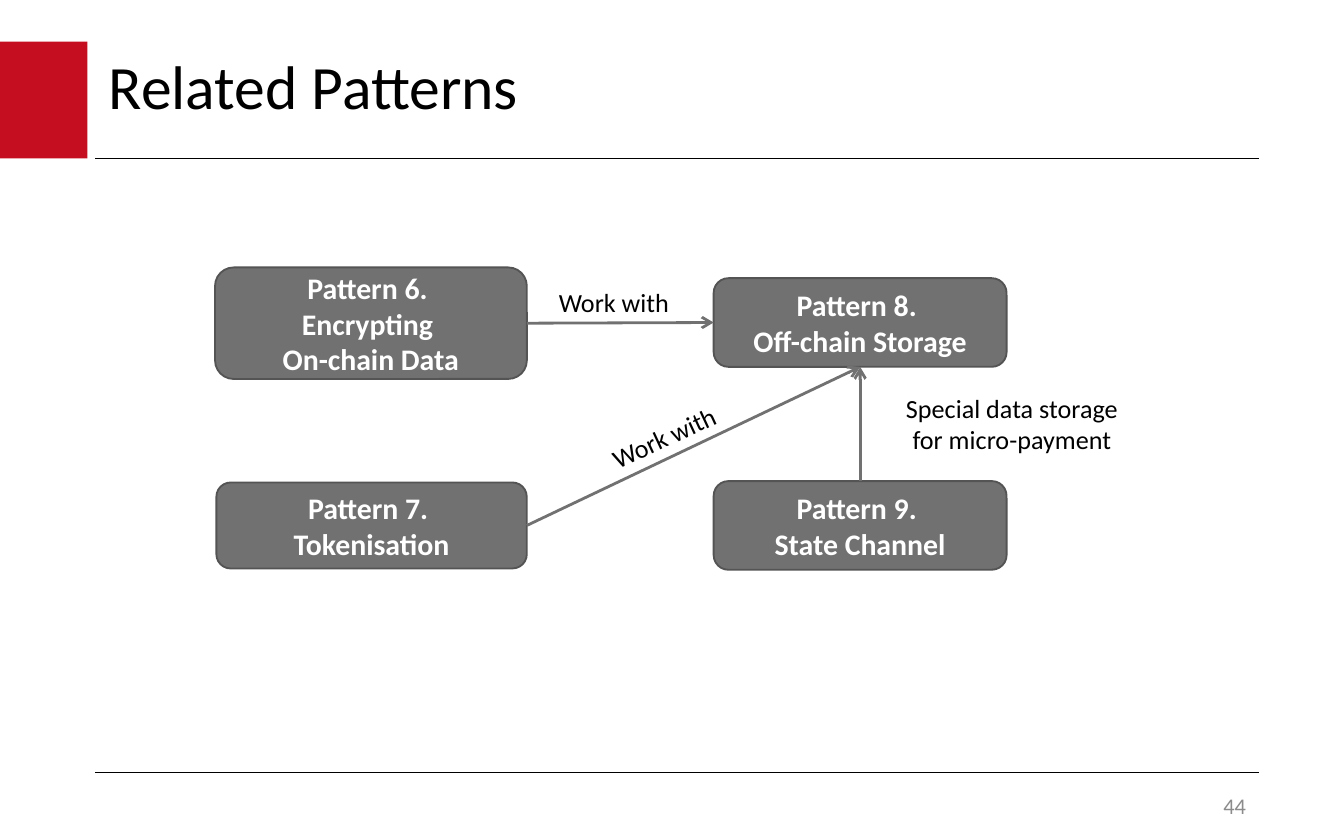
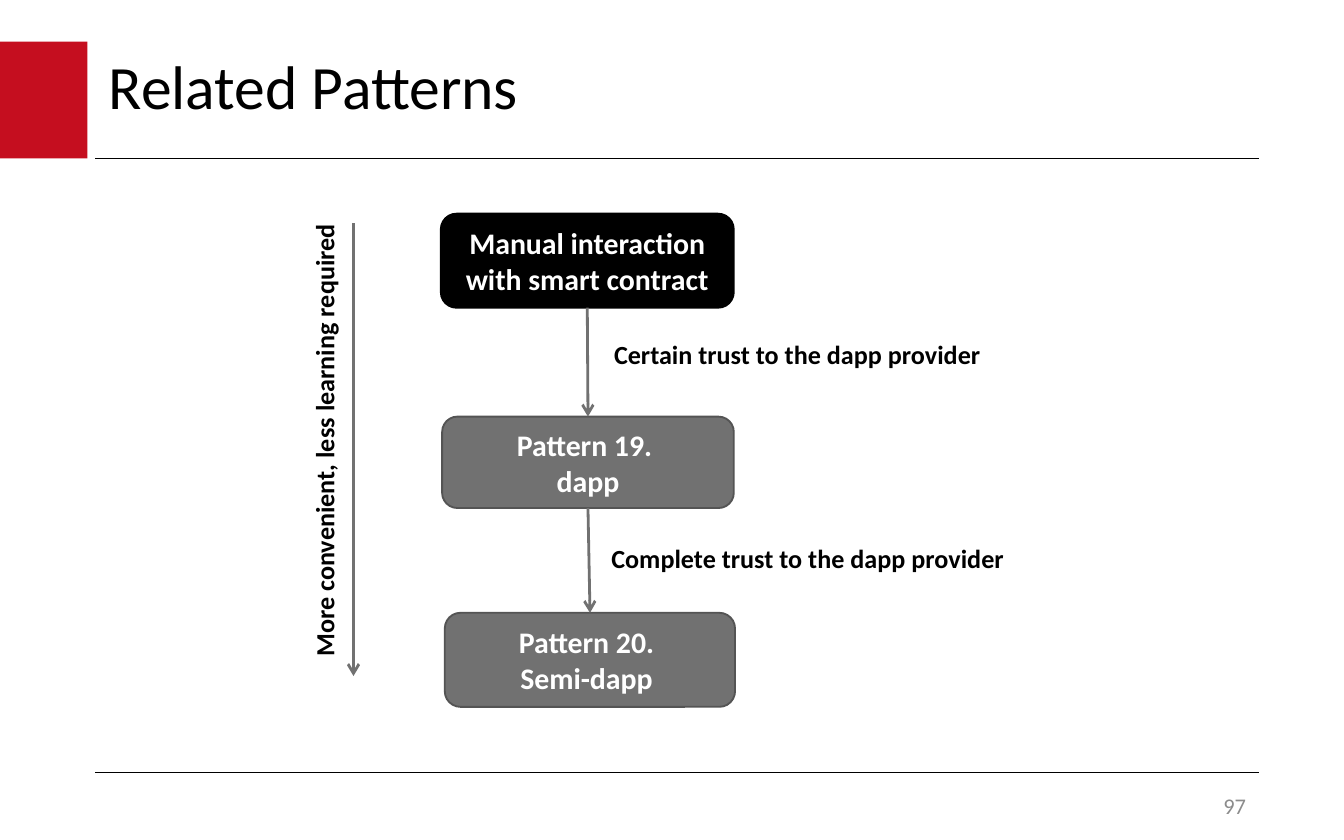
from dataclasses import dataclass

from lxml import etree
from pptx import Presentation
from pptx.dml.color import RGBColor
from pptx.enum import shapes, text
from pptx.oxml.ns import qn
from pptx.util import Inches, Pt

FONT = "Calibri"
COLOURS = {
    "accent": "C50E1F",
    "rule": "000000",
    "ink": "000000",
    "node": "717171",
    "node_edge": "545454",
    "node_text": "FFFFFF",
    "number": "8C8C8C",
}
LEFT, CENTRE, RIGHT = text.PP_ALIGN.LEFT, text.PP_ALIGN.CENTER, text.PP_ALIGN.RIGHT
TOP_SITE, BOTTOM_SITE, RIGHT_SITE, LEFT_SITE = 0, 2, 3, 1


@dataclass
class Box:
    """A rectangle in inches that can place parts inside itself."""
    left: float
    top: float
    width: float
    height: float

    def inner(self, left, top, width, height):
        """Return a box given relative to this one."""
        return Box(self.left + left, self.top + top, width, height)

    def lengths(self):
        """Return left, top, width and height as lengths."""
        return [Inches(v) for v in (self.left, self.top, self.width, self.height)]


HEADER = Box(0, 0.31, 9.37, 0.87)
BODY = Box(0.71, 1.18, 8.66, 4.57)
FOOTER = Box(7.34, 5.87, 2.03, 0.25)


def colour(name):
    """Look up a named colour."""
    return RGBColor.from_string(COLOURS[name])


def write(frame, lines, size, ink="ink", bold=False, align=LEFT, spacing=None):
    """Fill a text frame with one paragraph per line."""
    for index, line in enumerate(lines):
        para = frame.paragraphs[0] if index == 0 else frame.add_paragraph()
        para.alignment = align
        if spacing:
            para.line_spacing = spacing
        span = para.add_run()
        span.text = line
        span.font.name = FONT
        span.font.size = Pt(size)
        span.font.bold = bold
        span.font.color.rgb = colour(ink)


def add_line(page, start=(0, 0), end=(0, 0), ink="rule", width=0.75):
    """Draw a straight line without a shadow."""
    points = [Inches(v) for v in (*start, *end)]
    line = page.shapes.add_connector(shapes.MSO_CONNECTOR.STRAIGHT, *points)
    line.line.color.rgb = colour(ink)
    line.line.width = Pt(width)
    etree.SubElement(line._element.spPr, qn("a:effectLst"))
    return line


def add_arrow(page, start=(0, 0), end=(0, 0)):
    """Draw a grey line with an open arrowhead at its end."""
    arrow = add_line(page, start, end, "node", 1.5)
    etree.SubElement(arrow.line._get_or_add_ln(), qn("a:tailEnd"), type="arrow")
    return arrow


def link(page, source, source_site, target, target_site):
    """Join two nodes with an arrow."""
    arrow = add_arrow(page)
    arrow.begin_connect(source, source_site)
    arrow.end_connect(target, target_site)


def add_block(page, kind, box, fill, edge=None):
    """Draw a filled preset shape."""
    block = page.shapes.add_shape(kind, *box.lengths())
    block.shadow.inherit = False
    block.fill.solid()
    block.fill.fore_color.rgb = colour(fill)
    if edge:
        block.line.color.rgb = colour(edge)
        block.line.width = Pt(1)
    else:
        block.line.fill.background()
    return block


def add_node(page, box, lines, fill="node", edge="node_edge"):
    """Draw a rounded node with centred bold text."""
    node = add_block(page, shapes.MSO_SHAPE.ROUNDED_RECTANGLE, box, fill, edge)
    node.text_frame.word_wrap = True
    node.text_frame.vertical_anchor = text.MSO_ANCHOR.MIDDLE
    write(node.text_frame, lines, 16, "node_text", True, CENTRE)
    return node


def add_label(page, box, lines, bold=False, align=LEFT, wrap=False, rotation=0):
    """Add a label beside an arrow."""
    label = page.shapes.add_textbox(*box.lengths())
    label.rotation = rotation
    label.text_frame.word_wrap = wrap
    label.text_frame.auto_size = text.MSO_AUTO_SIZE.SHAPE_TO_FIT_TEXT
    write(label.text_frame, lines, 14, bold=bold, align=align)


def add_header(page, box, title):
    """Add the accent block, the title and the rule below it."""
    add_block(page, shapes.MSO_SHAPE.RECTANGLE, box.inner(0, 0, 0.65, box.height), "accent")
    holder = page.shapes.title
    holder.left, holder.top, holder.width, holder.height = box.inner(0.71, 0, 8.66, 0.71).lengths()
    frame = holder.text_frame
    frame.word_wrap = True
    frame.auto_size = text.MSO_AUTO_SIZE.NONE
    frame.vertical_anchor = text.MSO_ANCHOR.MIDDLE
    write(frame, [title], 33, spacing=0.9)


def add_footer(page, box, number):
    """Add the page number."""
    holder = page.shapes.add_textbox(*box.lengths())
    holder.text_frame.word_wrap = True
    holder.text_frame.vertical_anchor = text.MSO_ANCHOR.MIDDLE
    write(holder.text_frame, [str(number)], 12, "number", align=RIGHT)


def draw_data_patterns(page, area):
    """Draw how the data management patterns relate."""
    encrypting = add_node(page, area.inner(0.89, 0.81, 2.32, 0.83),
                          ["Pattern 6. ", "Encrypting ", "On-chain Data"])
    storage = add_node(page, area.inner(4.6, 0.89, 2.18, 0.66),
                       ["Pattern 8. ", "Off-chain Storage"])
    tokenisation = add_node(page, area.inner(0.9, 2.41, 2.31, 0.64),
                            ["Pattern 7. ", "Tokenisation"])
    channel = add_node(page, area.inner(4.6, 2.4, 2.18, 0.66),
                       ["Pattern 9. ", "State Channel"])
    link(page, encrypting, RIGHT_SITE, storage, LEFT_SITE)
    link(page, tokenisation, RIGHT_SITE, storage, BOTTOM_SITE)
    link(page, channel, TOP_SITE, storage, BOTTOM_SITE)
    for left, top, rotation in ((3.35, 0.9, 0), (3.72, 1.9, 335)):
        add_label(page, area.inner(left, top, 1.04, 0.34), ["Work with"], rotation=rotation)
    add_label(page, area.inner(5.92, 1.69, 1.8, 0.57),
              ["Special data storage ", "for micro-payment"], align=CENTRE)


def draw_interaction_patterns(page, area):
    """Draw the steps from manual interaction to semi-dapp."""
    manual = add_node(page, area.inner(2.57, 0.41, 2.18, 0.7),
                      ["Manual interaction with smart contract"], "ink", "ink")
    dapp = add_node(page, area.inner(2.58, 1.92, 2.17, 0.68), ["Pattern 19. ", "dapp"])
    semi_dapp = add_node(page, area.inner(2.6, 3.38, 2.16, 0.7), ["Pattern 20. ", "Semi-dapp "])
    for upper, lower in ((manual, dapp), (dapp, semi_dapp)):
        link(page, upper, BOTTOM_SITE, lower, TOP_SITE)
    for left, top, trust in ((3.76, 1.29, "Certain"), (3.74, 2.81, "Complete")):
        add_label(page, area.inner(left, top, 3.48, 0.34),
                  [f"{trust} trust to the dapp provider"], bold=True, wrap=True)
    axis = area.inner(1.92, 0.48, 0, 3.37)
    add_arrow(page, (axis.left, axis.top), (axis.left, axis.top + axis.height))
    add_label(page, area.inner(-0.09, 1.84, 3.59, 0.34),
              ["More convenient, less learning required"], bold=True, wrap=True, rotation=270)


def add_page(deck, number, draw):
    """Add a slide with the shared frame and its diagram."""
    page = deck.slides.add_slide(deck.slide_layouts[5])
    add_header(page, HEADER, "Related Patterns")
    for level in (BODY.top, BODY.top + BODY.height):
        add_line(page, (BODY.left, level), (BODY.left + BODY.width, level))
    draw(page, BODY)
    add_footer(page, FOOTER, number)


def main():
    """Build the deck and save it."""
    deck = Presentation()
    deck.slide_width, deck.slide_height = Inches(10), Inches(6.25)
    add_page(deck, 44, draw_data_patterns)
    add_page(deck, 97, draw_interaction_patterns)
    deck.save("out.pptx")


if __name__ == "__main__":
    main()
